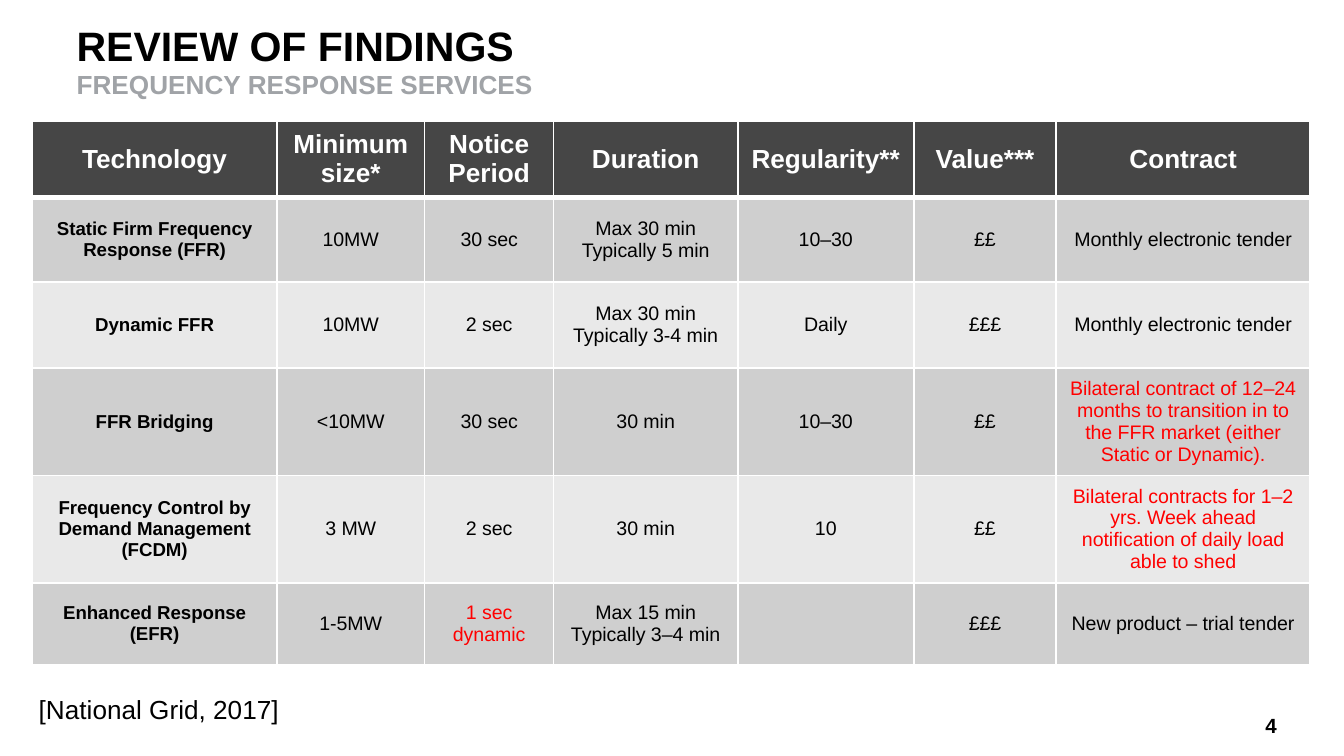
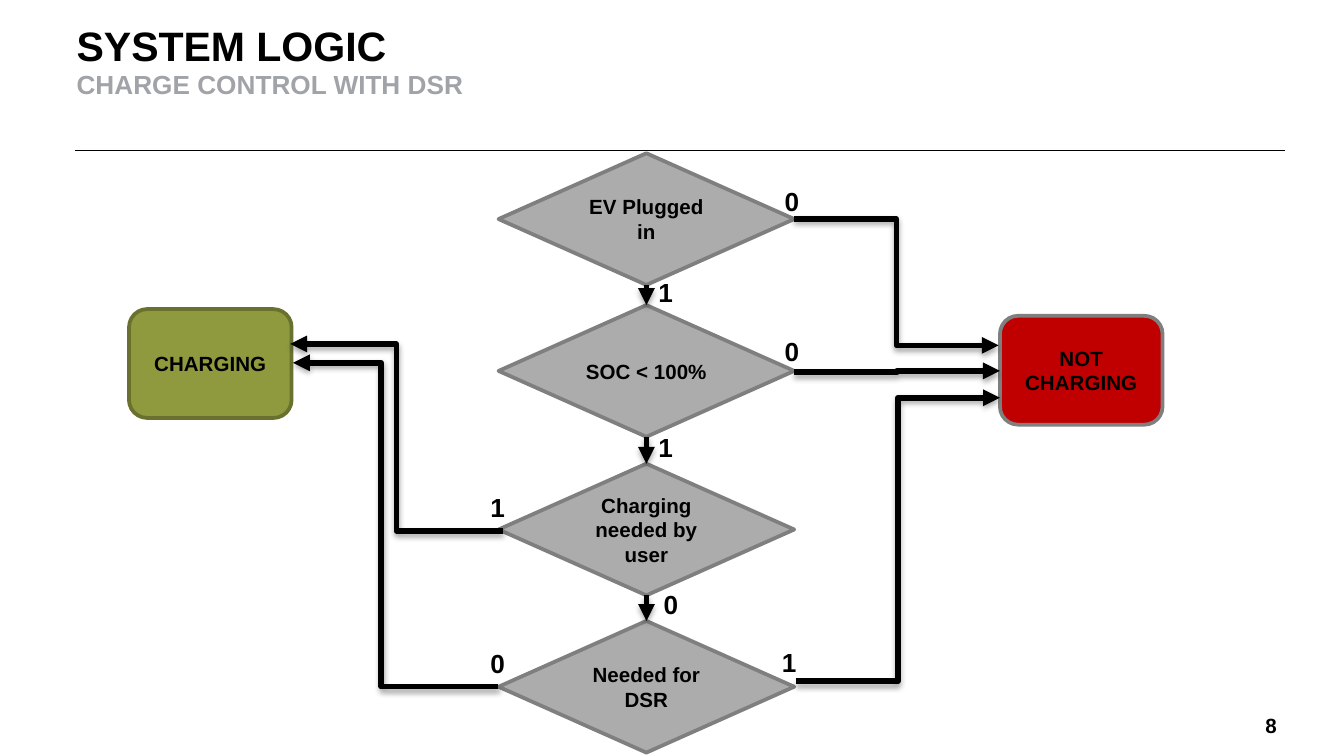
from lxml import etree
from pptx import Presentation
from pptx.dml.color import RGBColor
from pptx.enum.shapes import MSO_CONNECTOR as CONNECTOR, MSO_SHAPE as SHAPE
from pptx.enum.text import MSO_ANCHOR as ANCHOR, MSO_AUTO_SIZE as AUTO_SIZE, PP_ALIGN as ALIGN
from pptx.oxml import parse_xml
from pptx.oxml.ns import nsdecls, qn
from pptx.util import Inches, Pt

BLACK = RGBColor(0x00, 0x00, 0x00)
WHITE = RGBColor(0xFF, 0xFF, 0xFF)
SUBTITLE_GREY = RGBColor(0xA0, 0xA3, 0xA7)
HEADER_GREY = RGBColor(0x46, 0x46, 0x46)
BAND_GREYS = (RGBColor(0xE9, 0xE9, 0xE9), RGBColor(0xCF, 0xCF, 0xCF))
DIAMOND_GREY = RGBColor(0xAC, 0xAC, 0xAC)
OUTLINE_GREY = RGBColor(0x7F, 0x7F, 0x7F)
OLIVE = RGBColor(0x8F, 0x99, 0x3E)
DARK_OLIVE = RGBColor(0x6A, 0x71, 0x2E)
DARK_RED = RGBColor(0xC0, 0x00, 0x00)
BRIGHT_RED = RGBColor(0xFF, 0x00, 0x00)
FONT = "Arial"

presentation = Presentation()
presentation.slide_width = Inches(10)
presentation.slide_height = Inches(5.625)
CELL = presentation.slide_width // 100


def grid(*cells):
    """Turn counts of square grid cells, 100 to the slide's width, into lengths."""
    return [round(cell * CELL) for cell in cells]


def write(frame, text, size, color=BLACK, bold=True, align=ALIGN.CENTER):
    frame.word_wrap = True
    paragraph = frame.paragraphs[0]
    paragraph.text = text
    paragraph.alignment = align
    font = paragraph.font
    font.name, font.size, font.bold = FONT, Pt(size), bold
    font.color.rgb = color


# Shared title, rule and page number
slides = []
for title_text, subtitle, number in (
    ("REVIEW OF FINDINGS", "FREQUENCY RESPONSE SERVICES", "4"),
    ("SYSTEM LOGIC", "CHARGE CONTROL WITH DSR", "8"),
):
    slide = presentation.slides.add_slide(presentation.slide_layouts[5])
    slides.append(slide)

    title = slide.shapes.title
    title.left, title.top, title.width, title.height = grid(5.7, 1.8, 61.8, 7.9)
    frame = title.text_frame
    frame.auto_size = AUTO_SIZE.NONE
    frame.vertical_anchor = ANCHOR.TOP
    frame.margin_left = frame.margin_right = frame.margin_top = frame.margin_bottom = 0
    write(frame, title_text, 22, align=ALIGN.LEFT)
    paragraph = frame.paragraphs[0]
    paragraph.line_spacing = 0.95
    paragraph.add_line_break()
    run = paragraph.add_run()
    run.text = subtitle
    run.font.size = Pt(14)
    run.font.color.rgb = SUBTITLE_GREY

    rule = slide.shapes.add_connector(CONNECTOR.STRAIGHT, *grid(95.6, 11.2, 5.6, 11.2))
    rule.line.color.rgb = BLACK
    rule.line.width = Pt(0.5)
    etree.SubElement(rule._element.spPr, qn("a:effectLst"))

    frame = slide.shapes.add_textbox(*grid(89.5, 53.1, 5.5, 1.7)).text_frame
    frame.margin_left = frame.margin_right = frame.margin_top = frame.margin_bottom = 0
    frame.vertical_anchor = ANCHOR.MIDDLE
    write(frame, number, 11, align=ALIGN.RIGHT)

findings, logic = slides

# Frequency response services
source = findings.shapes.add_textbox(*grid(1.9, 51.1, 20, 3.4))
write(source.text_frame, "[National Grid, 2017]", 14, bold=False, align=ALIGN.LEFT)
source.text_frame.word_wrap = False

services = (
    ("Technology", "Minimum size*", "Notice Period", "Duration",
     "Regularity**", "Value***", "Contract"),
    ("Static Firm Frequency Response (FFR)", "10MW", "30 sec",
     "Max 30 min Typically 5 min", "10–30", "££", "Monthly electronic tender"),
    ("Dynamic FFR", "10MW", "2 sec",
     "Max 30 min Typically 3-4 min", "Daily", "£££", "Monthly electronic tender"),
    ("FFR Bridging", "<10MW", "30 sec", "30 min", "10–30", "££",
     "Bilateral contract of 12–24 months to transition in to the FFR market "
     "(either Static or Dynamic)."),
    ("Frequency Control by Demand Management (FCDM)", "3 MW", "2 sec", "30 min", "10", "££",
     "Bilateral contracts for 1–2 yrs. Week ahead notification of daily load able to shed"),
    ("Enhanced Response (EFR)", "1-5MW", "1 sec dynamic",
     "Max 15 min Typically 3–4 min", "", "£££", "New product – trial tender"),
)
highlighted = {(3, 6), (4, 6), (5, 2)}
column_widths = grid(18.2, 11, 9.6, 13.7, 13.1, 10.6, 18.9)
row_heights = grid(4.2, 6.3, 6.4, 6.8, 6.1, 6.1)

table = findings.shapes.add_table(
    len(row_heights), len(column_widths), *grid(2.4, 9),
    sum(column_widths), sum(row_heights)).table
table.first_row = table.horz_banding = False
for column, width in zip(table.columns, column_widths):
    column.width = width
for row, height in zip(table.rows, row_heights):
    row.height = height

for row_index, texts in enumerate(services):
    for column_index, text in enumerate(texts):
        cell = table.cell(row_index, column_index)
        cell.vertical_anchor = ANCHOR.MIDDLE
        if row_index == 0:
            fill, size, color = HEADER_GREY, 14, WHITE
        else:
            fill = BAND_GREYS[row_index % 2]
            size = 10 if column_index == 0 else 10.5
            color = BRIGHT_RED if (row_index, column_index) in highlighted else BLACK
        write(cell.text_frame, text, size, color, bold=row_index == 0 or column_index == 0)
        for side in "LRTB":
            thick = (row_index, side) in ((0, "B"), (1, "T"))
            cell._tc.get_or_add_tcPr().append(parse_xml(
                f'<a:ln{side} {nsdecls("a")} w="{Pt(3 if thick else 1)}">'
                f'<a:solidFill><a:srgbClr val="{WHITE}"/></a:solidFill></a:ln{side}>'))
        cell.fill.solid()
        cell.fill.fore_color.rgb = fill

# Decisions and outcomes
decisions = ("EV Plugged in", "SOC < 100%", "Charging needed by user", "Needed for DSR")
decision_tops = (11.4, 22.7, 34.5, 46.2)
nodes = [(SHAPE.DIAMOND, text, (37.1, top, 22, 9.8), DIAMOND_GREY, OUTLINE_GREY)
         for text, top in zip(decisions, decision_tops)]
nodes += [
    (SHAPE.ROUNDED_RECTANGLE, "CHARGING", (9.6, 23, 12.1, 8.1), OLIVE, DARK_OLIVE),
    (SHAPE.ROUNDED_RECTANGLE, "NOT CHARGING", (74.4, 23.5, 12.1, 8.1), DARK_RED, OUTLINE_GREY),
]
for preset, text, box, fill, outline in nodes:
    shape = logic.shapes.add_shape(preset, *grid(*box))
    shape.shadow.inherit = False
    shape.fill.solid()
    shape.fill.fore_color.rgb = fill
    shape.line.color.rgb = outline
    shape.line.width = Pt(2)
    shape.text_frame.vertical_anchor = ANCHOR.MIDDLE
    write(shape.text_frame, text, 11)

# Arrows: ends, and the share of the width at which each elbow turns
arrows = [(CONNECTOR.STRAIGHT, (48.1, top + 9.8, 48.1, next_top), None)
          for top, next_top in zip(decision_tops, decision_tops[1:])]
arrows += [(CONNECTOR.ELBOW, ends, turn) for ends, turn in (
    ((59.1, 16.3, 74.3, 25.7), 0.5),
    ((59.1, 27.7, 74.4, 27.6), 0.5),
    ((59.2, 50.7, 74.4, 29.6), 0.5),
    ((37.4, 39.5, 21.6, 25.6), 0.5),
    ((37.1, 51.1, 21.8, 27), 0.57),
)]
for kind, ends, turn in arrows:
    arrow = logic.shapes.add_connector(kind, *grid(*ends))
    arrow.line.color.rgb = BLACK
    arrow.line.width = Pt(3)
    properties = arrow._element.spPr
    etree.SubElement(arrow.line._get_or_add_ln(), qn("a:tailEnd"), type="triangle")
    if turn:
        adjustments = properties.find(qn("a:prstGeom")).get_or_add_avLst()
        etree.SubElement(adjustments, qn("a:gd"), name="adj1", fmla=f"val {round(turn * 100000)}")
    properties.append(parse_xml(
        f'<a:effectLst {nsdecls("a")}>'
        f'<a:outerShdw blurRad="{Pt(3.1)}" dist="{Pt(1.8)}" dir="5400000" rotWithShape="0">'
        f'<a:srgbClr val="{BLACK}"><a:alpha val="35000"/></a:srgbClr>'
        '</a:outerShdw></a:effectLst>'))

for text, left, top in (
    ("0", 57.4, 13.3), ("1", 48, 20.1),
    ("0", 57.4, 24.5), ("1", 48, 31.6),
    ("1", 35.5, 36.1), ("0", 48.4, 43.3),
    ("0", 35.5, 47.7), ("1", 57.2, 47.6),
):
    label = logic.shapes.add_textbox(*grid(left, top, 6.4, 3.4))
    write(label.text_frame, text, 14, align=ALIGN.LEFT)

presentation.save("out.pptx")
